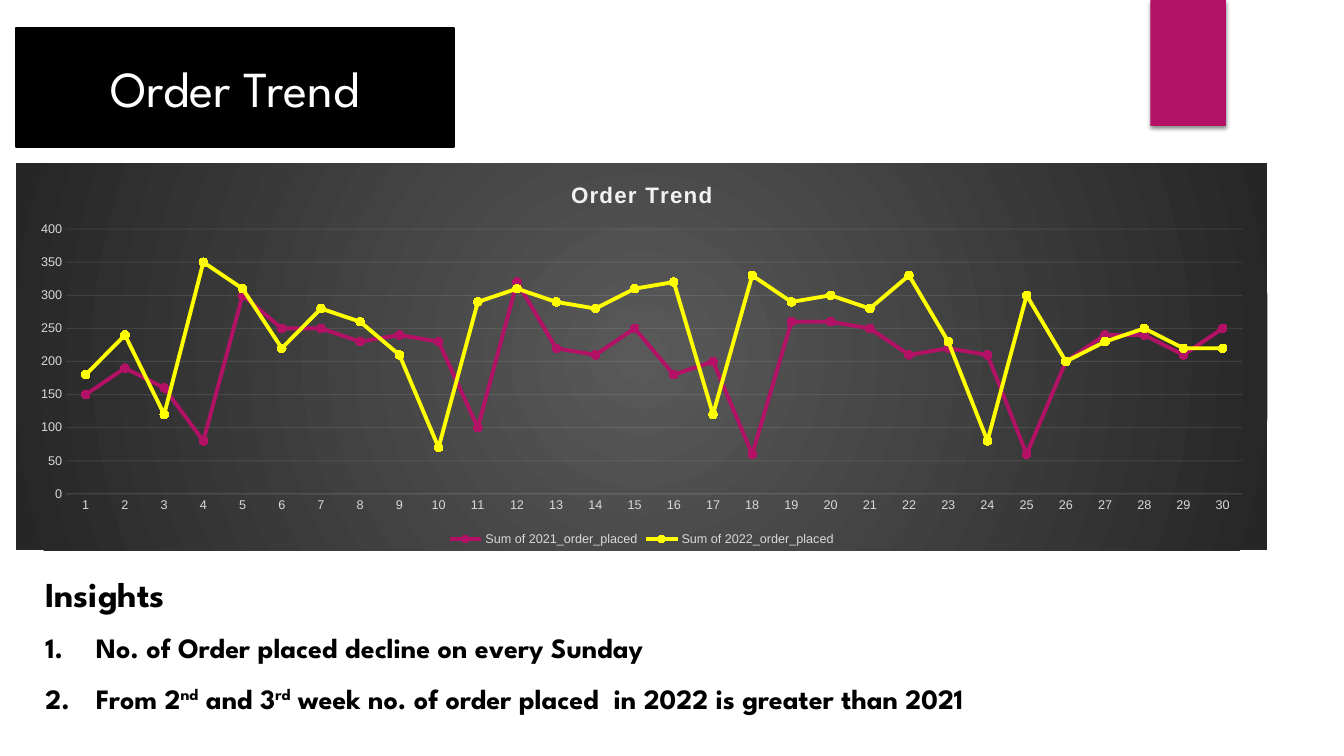
from lxml import etree
from pptx import Presentation
from pptx.chart.data import CategoryChartData
from pptx.dml.color import RGBColor
from pptx.enum.chart import XL_CHART_TYPE, XL_LEGEND_POSITION, XL_MARKER_STYLE, XL_TICK_MARK
from pptx.enum.shapes import MSO_SHAPE
from pptx.enum.text import MSO_ANCHOR, MSO_AUTO_SIZE, PP_ALIGN
from pptx.oxml import parse_xml
from pptx.oxml.ns import nsdecls, qn
from pptx.util import Inches, Pt

LINE_MARKERS = XL_CHART_TYPE.LINE_MARKERS
LEGEND_BOTTOM = XL_LEGEND_POSITION.BOTTOM
CIRCLE = XL_MARKER_STYLE.CIRCLE
NO_TICK = XL_TICK_MARK.NONE
RECTANGLE = MSO_SHAPE.RECTANGLE
TOP, MIDDLE = MSO_ANCHOR.TOP, MSO_ANCHOR.MIDDLE
CENTER, LEFT = PP_ALIGN.CENTER, PP_ALIGN.LEFT
NO_FIT, GROW = MSO_AUTO_SIZE.NONE, MSO_AUTO_SIZE.SHAPE_TO_FIT_TEXT

COLORS = {
    "black": "000000", "white": "FFFFFF", "magenta": "B31166", "yellow": "FFFF00",
    "label": "D9D9D9", "pale": "F2F2F2", "center": "595959", "edge": "262626",
}
TEXT_FONT, CHART_FONT = "League Spartan", "Arial"

ORDERS = {
    "Sum of 2021_order_placed": ("magenta", [
        150, 190, 160, 80, 300, 250, 250, 230, 240, 230, 100, 320, 220, 210, 250,
        180, 200, 60, 260, 260, 250, 210, 220, 210, 60, 200, 240, 240, 210, 250]),
    "Sum of 2022_order_placed": ("yellow", [
        180, 240, 120, 350, 310, 220, 280, 260, 210, 70, 290, 310, 290, 280, 310,
        320, 120, 330, 290, 300, 280, 330, 230, 80, 300, 200, 230, 250, 220, 220]),
}
# Each insight is a list of pieces; True marks a superscript.
INSIGHTS = [
    [("No. of Order placed decline on every Sunday", False)],
    [("From 2", False), ("nd", True), (" and 3", False), ("rd", True),
     (" week no. of order placed  in 2022 is greater than 2021", False)],
]


def rgb(name):
    return RGBColor.from_string(COLORS[name])


def place(shape, left, top, width, height):
    shape.left, shape.top = Inches(left), Inches(top)
    shape.width, shape.height = Inches(width), Inches(height)


def style_font(font, size, color, face=CHART_FONT, bold=False):
    font.size, font.name, font.bold = Pt(size), face, bold
    font.color.rgb = rgb(color)


class OrderSlide:
    def __init__(self, presentation):
        self.slide = presentation.slides.add_slide(presentation.slide_layouts[1])

    def add_accent(self, left, top, width, height):
        shape = self.slide.shapes.add_shape(
            RECTANGLE, Inches(left), Inches(top), Inches(width), Inches(height))
        shape.fill.solid()
        shape.fill.fore_color.rgb = rgb("magenta")
        shape.line.fill.background()
        shape.shadow.inherit = False
        effects = shape._element.spPr.find(qn("a:effectLst"))
        effects.append(parse_xml(
            f'<a:outerShdw {nsdecls("a")} blurRad="{Pt(3)}" dist="{Pt(2)}" dir="5400000">'
            f'<a:srgbClr val="{COLORS["black"]}"><a:alpha val="45000"/></a:srgbClr>'
            '</a:outerShdw>'))

    def add_title(self, text, *box):
        title = self.slide.shapes.title
        place(title, *box)
        title._element.spPr.append(parse_xml(
            f'<a:prstGeom {nsdecls("a")} prst="roundRect"><a:avLst/></a:prstGeom>'))
        title.fill.solid()
        title.fill.fore_color.rgb = rgb("black")
        title.line.color.rgb = rgb("black")
        title.line.width = Pt(1.5)
        frame = title.text_frame
        frame.text = text
        frame.auto_size, frame.vertical_anchor = NO_FIT, MIDDLE
        frame.paragraphs[0].alignment = CENTER
        style_font(frame.paragraphs[0].runs[0].font, 36, "white", TEXT_FONT)

    def add_insights(self, heading, insights, *box):
        body = self.slide.placeholders[1]
        place(body, *box)
        frame = body.text_frame
        frame.text = heading
        frame.word_wrap, frame.auto_size, frame.vertical_anchor = True, GROW, TOP
        self.format_insight(frame.paragraphs[0], 25, 2.0, 0, "<a:buNone {}/>")
        for pieces in insights:
            paragraph = frame.add_paragraph()
            for text, raised in pieces:
                run = paragraph.add_run()
                run.text = text
                if raised:
                    run.font._element.set("baseline", "30000")
            self.format_insight(paragraph, 20, 1.5, 0.5,
                                '<a:buAutoNum {} type="arabicPeriod"/>')

    def format_insight(self, paragraph, size, spacing, indent, bullet):
        paragraph.alignment, paragraph.line_spacing = LEFT, spacing
        paragraph.space_before = paragraph.space_after = Pt(0)
        properties = paragraph._p.get_or_add_pPr()
        properties.set("marL", str(Inches(indent)))
        properties.set("indent", str(-Inches(indent)))
        properties.append(parse_xml(bullet.format(nsdecls("a"))))
        for run in paragraph.runs:
            style_font(run.font, size, "black", TEXT_FONT, bold=True)

    def add_line_chart(self, title, orders, *box):
        data = CategoryChartData()
        data.categories = [str(day) for day in range(1, 31)]
        for name, (_, values) in orders.items():
            data.add_series(name, values)
        chart = self.slide.shapes.add_chart(
            LINE_MARKERS, *[Inches(length) for length in box], data).chart
        style_font(chart.font, 10, "black")
        self.fill_chart(chart)

        chart.has_title = True
        chart.chart_title.include_in_layout = False
        chart.chart_title.text_frame.text = title
        title_font = chart.chart_title.text_frame.paragraphs[0].runs[0].font
        style_font(title_font, 16, "pale", bold=True)
        title_font._element.set("spc", "100")

        chart.has_legend = True
        chart.legend.position = LEGEND_BOTTOM
        chart.legend.include_in_layout = False
        style_font(chart.legend.font, 9, "label")

        chart.plots[0].vary_by_categories = False
        for series, (color, _) in zip(chart.plots[0].series, orders.values()):
            self.format_series(series, rgb(color))
        value_axis = chart.value_axis
        value_axis.minimum_scale, value_axis.maximum_scale = 0, 400
        value_axis.major_unit = 50
        value_axis.format.line.fill.background()
        self.format_axis(value_axis, value_axis.major_gridlines.format.line)
        self.format_axis(chart.category_axis, chart.category_axis.format.line)

    def fill_chart(self, chart):
        """Give the chart area a radial gradient and no outline."""
        area = parse_xml(
            f'<c:spPr {nsdecls("c", "a")}><a:gradFill><a:gsLst>'
            f'<a:gs pos="0"><a:srgbClr val="{COLORS["center"]}"/></a:gs>'
            f'<a:gs pos="100000"><a:srgbClr val="{COLORS["edge"]}"/></a:gs></a:gsLst>'
            '<a:path path="circle"><a:fillToRect l="50000" t="50000" r="50000" b="50000"/>'
            '</a:path></a:gradFill><a:ln><a:noFill/></a:ln></c:spPr>')
        chart._chartSpace.find(qn("c:chart")).addnext(area)

    def format_series(self, series, color):
        series.smooth = False
        series.format.line.color.rgb = color
        series.format.line.width = Pt(2.75)
        marker = series.marker
        marker.style, marker.size = CIRCLE, 6
        marker.format.fill.solid()
        marker.format.fill.fore_color.rgb = color
        marker.format.line.color.rgb = color

    def format_axis(self, axis, line):
        """Style the labels and draw the given line at 10 % opacity."""
        axis.major_tick_mark = axis.minor_tick_mark = NO_TICK
        line.color.rgb = rgb("pale")
        line.width = Pt(0.75)
        for color in axis._element.iter(qn("a:srgbClr")):
            etree.SubElement(color, qn("a:alpha")).set("val", "10000")
        style_font(axis.tick_labels.font, 9, "label")


def main():
    presentation = Presentation()
    presentation.slide_width, presentation.slide_height = Inches(13.33), Inches(7.5)
    order_slide = OrderSlide(presentation)
    order_slide.add_accent(11.41, 0, 0.75, 1.25)
    order_slide.add_title("Order Trend", 0.16, 0.28, 4.34, 1.18)
    order_slide.add_insights("Insights", INSIGHTS, 0.35, 5.21, 12.22, 1.89)
    order_slide.add_line_chart("Order Trend", ORDERS, 0.16, 1.62, 12.41, 3.84)
    presentation.save("out.pptx")


if __name__ == "__main__":
    main()
